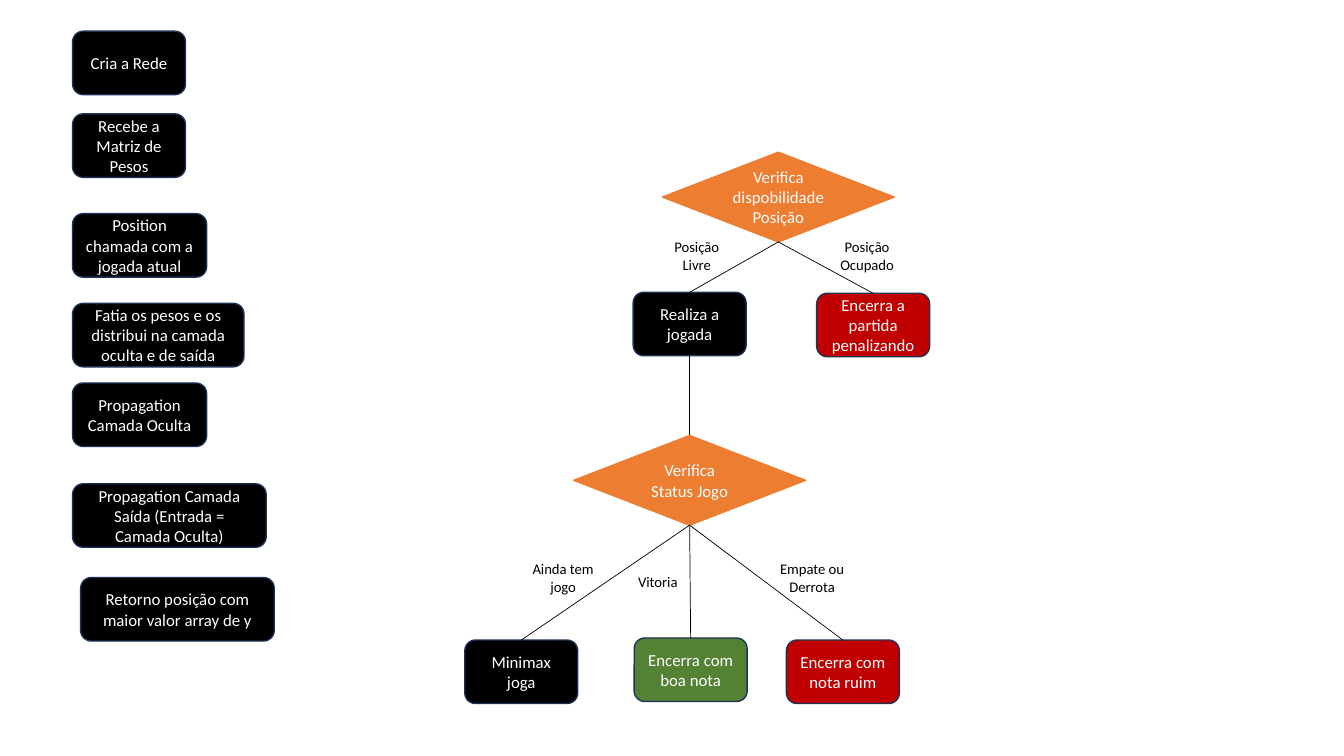
from pptx import Presentation
from pptx.dml.color import RGBColor
from pptx.enum import shapes, text
from pptx.oxml import ns, xmlchemy
from pptx.util import Inches, Pt

BLACK, WHITE, NAVY = "000000", "FFFFFF", "1E3256"
RED, GREEN, ORANGE = "C00000", "548235", "ED7D31"
STEP_HEIGHT = 0.63
OUTCOME_WIDTH = 1.12
DECISION_SIZE = (2.3, 0.89)
TOP, BOTTOM = 0, 2

NETWORK_STEPS = [
    ("Cria a Rede", 0, 0, 1.12),
    ("Recebe a Matriz de Pesos", 0, 0.82, 1.12),
    ("Position chamada com a jogada atual", 0, 1.81, 1.33),
    ("Fatia os pesos e os distribui na camada oculta e de saída", 0, 2.7, 1.7),
    ("Propagation Camada Oculta", 0, 3.49, 1.33),
    ("Propagation Camada Saída (Entrada = Camada Oculta)", 0, 4.49, 1.92),
    ("Retorno posição com maior valor array de y", 0.08, 5.42, 1.92),
]


def color(hex_value):
    """Return the colour for a hex string."""
    return RGBColor.from_string(hex_value)


def write(shape, words, size, hex_value):
    """Write one centred paragraph into a shape."""
    shape.text_frame.word_wrap = True
    para = shape.text_frame.paragraphs[0]
    para.text = words
    para.alignment = text.PP_ALIGN.CENTER
    para.font.name = "Calibri"
    para.font.size = Pt(size)
    para.font.color.rgb = color(hex_value)


def add_node(page, kind, words, box, fill, outline):
    """Add a filled shape with white text."""
    node = page.shapes.add_shape(kind, *map(Inches, box))
    node.shadow.inherit = False
    node.fill.solid()
    node.fill.fore_color.rgb = color(fill)
    node.line.color.rgb = color(outline)
    node.line.width = Pt(1)
    node.text_frame.vertical_anchor = text.MSO_ANCHOR.MIDDLE
    write(node, words, 12, WHITE)
    return node


def add_step(page, words, left, top, width, fill=BLACK):
    """Add a rounded step of the common height."""
    box = (left, top, width, STEP_HEIGHT)
    return add_node(page, shapes.MSO_SHAPE.ROUNDED_RECTANGLE, words, box, fill, NAVY)


def add_decision(page, words, left, top):
    """Add an orange decision diamond."""
    box = (left, top, *DECISION_SIZE)
    return add_node(page, shapes.MSO_SHAPE.FLOWCHART_DECISION, words, box, ORANGE, ORANGE)


def add_label(page, words, left, top, width, height):
    """Add the caption of a branch."""
    label = page.shapes.add_textbox(*map(Inches, (left, top, width, height)))
    write(label, words, 10.5, BLACK)


def join(page, source, target):
    """Draw a thin line from the bottom of one node to the top of another."""
    line = page.shapes.add_connector(shapes.MSO_CONNECTOR.STRAIGHT, 0, 0, 0, 0)
    line.begin_connect(source, BOTTOM)
    line.end_connect(target, TOP)
    line.line.color.rgb = color(BLACK)
    line.line.width = Pt(0.5)
    properties = line._element.spPr
    properties.append(xmlchemy.OxmlElement("a:effectLst"))


def add_branches(page, decision, left, top, outcomes, labels):
    """Add the outcomes and captions of a decision and return the outcomes."""
    nodes = []
    for words, across, down, fill in outcomes:
        node = add_step(page, words, left + across, top + down, OUTCOME_WIDTH, fill)
        join(page, decision, node)
        nodes.append(node)
    for words, across, down, width, height in labels:
        add_label(page, words, left + across, top + down, width, height)
    return nodes


def add_network_steps(page, left, top):
    """Add the column of neural network steps."""
    for words, across, down, width in NETWORK_STEPS:
        add_step(page, words, left + across, top + down, width)


def add_position_check(page, left, top):
    """Add the position check and return the step for a free position."""
    decision = add_decision(page, "Verifica dispobilidade Posição", left, top)
    outcomes = [
        ("Realiza a jogada", -0.29, 1.39, BLACK),
        ("Encerra a partida penalizando", 1.53, 1.4, RED),
    ]
    labels = [
        ("Posição Livre", -0.1, 0.8, 0.88, 0.63),
        ("Posição Ocupado", 1.59, 0.8, 0.88, 0.63),
    ]
    return add_branches(page, decision, left, top, outcomes, labels)[0]


def add_status_check(page, left, top):
    """Add the game status check and return its decision."""
    decision = add_decision(page, "Verifica Status Jogo", left, top)
    outcomes = [
        ("Minimax joga", -1.08, 2.03, BLACK),
        ("Encerra com boa nota", 0.6, 2.01, GREEN),
        ("Encerra com nota ruim", 2.11, 2.03, RED),
    ]
    labels = [
        ("Ainda tem jogo", -0.62, 1.19, 1.03, 0.63),
        ("Vitoria", 0.32, 1.31, 1.03, 0.45),
        ("Empate ou Derrota", 1.85, 1.19, 1.03, 0.63),
    ]
    add_branches(page, decision, left, top, outcomes, labels)
    return decision


def main():
    """Build the flowchart slide."""
    deck = Presentation()
    deck.slide_width, deck.slide_height = Inches(13.33), Inches(7.5)
    page = deck.slides.add_slide(deck.slide_layouts[6])
    add_network_steps(page, 0.72, 0.31)
    free_move = add_position_check(page, 6.57, 1.51)
    status = add_status_check(page, 5.69, 4.32)
    join(page, free_move, status)
    deck.save("out.pptx")


if __name__ == "__main__":
    main()
